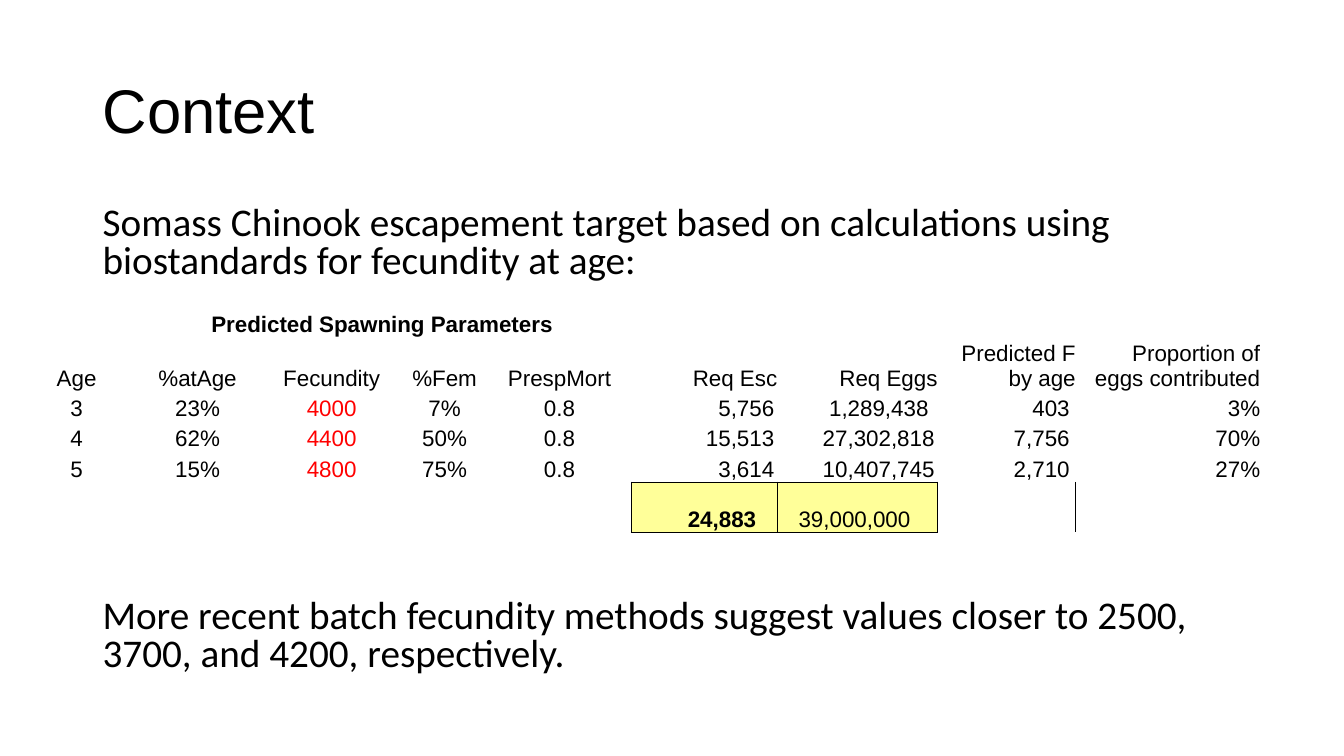
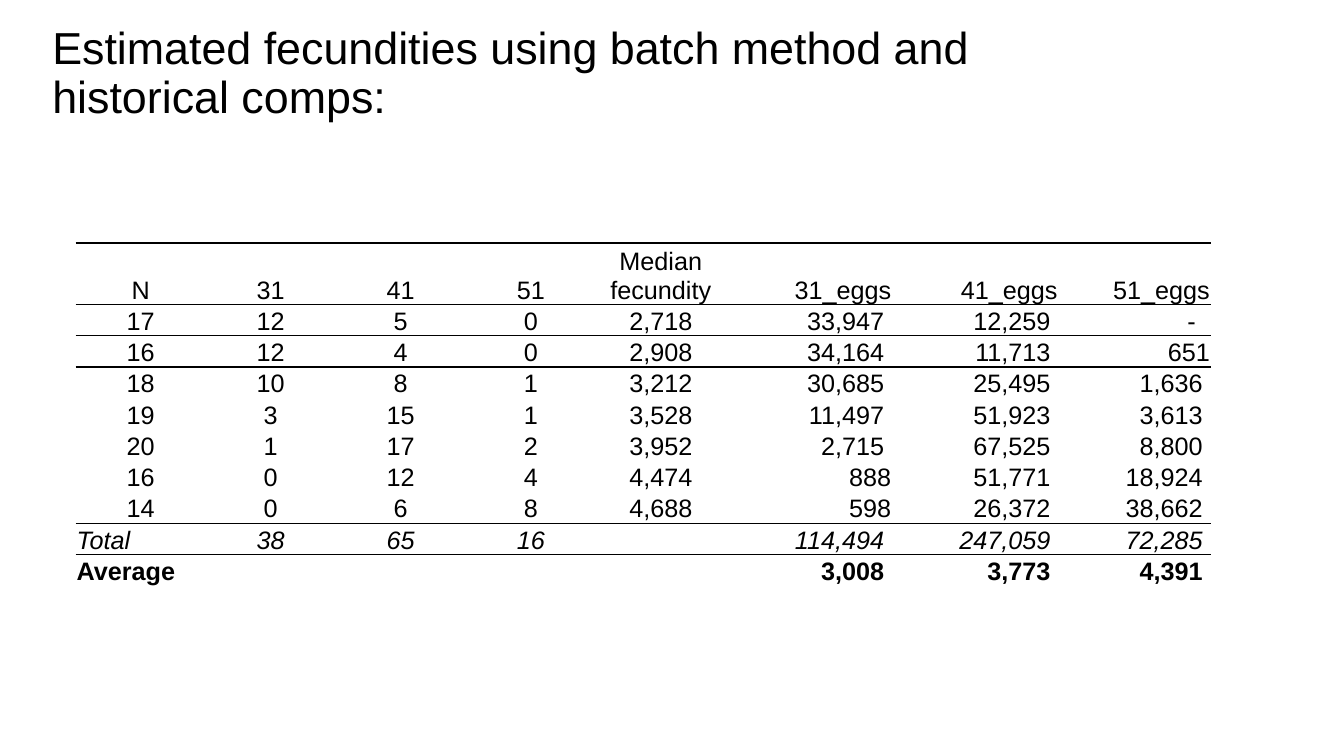
"""Build two slides on Chinook escapement targets and fecundity estimates."""
from lxml import etree
from pptx import Presentation
from pptx.dml.color import RGBColor
from pptx.enum.text import MSO_ANCHOR, PP_ALIGN
from pptx.oxml.ns import qn
from pptx.util import Inches, Pt

LEFT, CENTER, RIGHT = PP_ALIGN.LEFT, PP_ALIGN.CENTER, PP_ALIGN.RIGHT
TOP, MIDDLE, BOTTOM = MSO_ANCHOR.TOP, MSO_ANCHOR.MIDDLE, MSO_ANCHOR.BOTTOM
rgb = RGBColor.from_string
BLACK, RED, YELLOW = "000000", "FF0000", "FFFF99"
PLAIN_TABLE = "{2D5ABB26-0587-4C30-8999-92F81FD0307C}"
TITLE = {"font": "Arial", "anchor": MIDDLE, "spacing": 0.9, "before": 0}
BODY = {"font": "Calibri", "anchor": TOP, "spacing": 0.8, "before": 10}


def add_text(slide, text, box, size, style):
    frame = slide.shapes.add_textbox(*map(Inches, box)).text_frame
    frame.word_wrap = True
    frame.vertical_anchor = style["anchor"]
    paragraph = frame.paragraphs[0]
    paragraph.line_spacing = style["spacing"]
    paragraph.space_before = Pt(style["before"])
    run = paragraph.add_run()
    run.text = text
    run.font.name, run.font.size = style["font"], Pt(size)
    run.font.color.rgb = rgb(BLACK)


def add_grid(slide, corner, widths, heights, rows, size, inset, aligns, pads, borders, line_width):
    table = slide.shapes.add_table(
        len(heights), len(widths), *map(Inches, (*corner, sum(widths), sum(heights)))).table
    table.first_row = table.horz_banding = False
    table._tbl.tblPr.find(qn("a:tableStyleId")).text = PLAIN_TABLE
    for column, width in zip(table.columns, widths):
        column.width = Inches(width)
    for row, height in zip(table.rows, heights):
        row.height = Inches(height)
    for r, values in enumerate(rows):
        for c, value in enumerate(values):
            cell = table.cell(r, c)
            cell.text = value
            cell.vertical_anchor = BOTTOM
            cell.margin_left = cell.margin_top = Inches(inset)
            cell.margin_right = Inches(pads.get((r, c), inset))
            cell.margin_bottom = 0
            for paragraph in cell.text_frame.paragraphs:
                paragraph.alignment = aligns[c]
                for run in paragraph.runs:
                    run.font.name, run.font.size = "Arial", Pt(size)
                    run.font.color.rgb = rgb(BLACK)
                if not paragraph.runs:
                    etree.SubElement(paragraph._p, qn("a:endParaRPr"), sz=str(size * 100))
            properties = cell._tc.get_or_add_tcPr()
            for side in borders.get((r, c), ""):
                line = etree.SubElement(properties, qn(f"a:ln{side}"), w=str(Pt(line_width)))
                fill = etree.SubElement(line, qn("a:solidFill"))
                etree.SubElement(fill, qn("a:srgbClr"), val=BLACK)
            cell.fill.background()
    return table


deck = Presentation()
deck.slide_width, deck.slide_height = Inches(13.33), Inches(7.5)
blank = deck.slide_layouts[6]

context = deck.slides.add_slide(blank)
add_text(context, "Context", (0.92, 0.4, 11.5, 1.45), 44, TITLE)
add_text(context, "Somass Chinook escapement target based on calculations using "
         "biostandards for fecundity at age:", (0.92, 2, 11.5, 0.93), 28, BODY)

spawning_rows = [
    ["", "Predicted Spawning Parameters", "", "", "", "", "", "", ""],
    ["Age", "%atAge", "Fecundity", "%Fem", "PrespMort", "Req Esc", "Req Eggs",
     "Predicted F by age", "Proportion of\neggs contributed"],
    ["3", "23%", "4000", "7%", "0.8", "5,756", "1,289,438", "403", "3%"],
    ["4", "62%", "4400", "50%", "0.8", "15,513", "27,302,818", "7,756", "70%"],
    ["5", "15%", "4800", "75%", "0.8", "3,614", "10,407,745", "2,710", "27%"],
    ["", "", "", "", "", "24,883", "39,000,000", "", ""],
]
spawning_pads = {(r, c): pad for r in (2, 3, 4) for c, pad in ((5, 0.03), (6, 0.03), (7, 0.06))}
spawning_pads.update({(2, 6): 0.09, (5, 5): 0.21, (5, 6): 0.27})
spawning = add_grid(
    context, (0.2, 3.08), [1.12, 1.28, 1.38, 0.86, 1.42, 1.45, 1.59, 1.37, 1.83],
    [0.25, 0.5, 0.3, 0.3, 0.3, 0.5], spawning_rows, 16, 0, [CENTER] * 5 + [RIGHT] * 4,
    spawning_pads, {(4, 5): "B", (4, 6): "B", (5, 4): "R", (5, 5): "LTB", (5, 6): "RTB",
                    (5, 7): "L"}, 0.5)
spawning.cell(0, 1).merge(spawning.cell(0, 4))
for r, c in ((0, 1), (5, 5)):
    spawning.cell(r, c).text_frame.paragraphs[0].runs[0].font.bold = True
for r in (2, 3, 4):
    spawning.cell(r, 2).text_frame.paragraphs[0].runs[0].font.color.rgb = rgb(RED)
for c in (5, 6):
    total = spawning.cell(5, c)
    total.fill.solid()
    total.fill.fore_color.rgb = rgb(YELLOW)

add_text(context, "More recent batch fecundity methods suggest values closer to 2500, "
         "3700, and 4200, respectively.", (0.92, 5.9, 11.5, 0.93), 28, BODY)

estimates = deck.slides.add_slide(blank)
add_text(estimates, "Estimated fecundities using batch method and historical comps:",
         (0.42, 0, 11.08, 1.48), 32, TITLE)

batch_rows = [
    ["N", "31", "41", "51", "Median fecundity", "31_eggs", "41_eggs", "51_eggs"],
    ["17", "12", "5", "0", "2,718", "33,947", "12,259", "-"],
    ["16", "12", "4", "0", "2,908", "34,164", "11,713", "651"],
    ["18", "10", "8", "1", "3,212", "30,685", "25,495", "1,636"],
    ["19", "3", "15", "1", "3,528", "11,497", "51,923", "3,613"],
    ["20", "1", "17", "2", "3,952", "2,715", "67,525", "8,800"],
    ["16", "0", "12", "4", "4,474", "888", "51,771", "18,924"],
    ["14", "0", "6", "8", "4,688", "598", "26,372", "38,662"],
    ["Total", "38", "65", "16", "", "114,494", "247,059", "72,285"],
    ["Average", "", "", "", "", "3,008", "3,773", "4,391"],
]
batch_pads = {(r, c): 0.08 for r in range(1, 10) for c in (5, 6, 7)}
batch_pads.update({(1, 7): 0.15, (2, 7): 0.01, (6, 5): 0.01, (7, 5): 0.01})
rules = {0: "TB", 1: "TB", 2: "T", 7: "B", 8: "T"}
batch = add_grid(
    estimates, (0.75, 2.41), [1.29] * 5 + [1.65, 1.65, 1.51], [0.57] + [0.29] * 9,
    batch_rows, 18, 0.01, [CENTER] * 5 + [RIGHT] * 3, batch_pads,
    {(r, c): sides for r, sides in rules.items() for c in range(8)}, 1)
for r, emphasis in ((8, {"italic": True}), (9, {"bold": True})):
    batch.cell(r, 0).text_frame.paragraphs[0].alignment = LEFT
    for cell in batch.rows[r].cells:
        for run in cell.text_frame.paragraphs[0].runs:
            for attribute, value in emphasis.items():
                setattr(run.font, attribute, value)

deck.save("out.pptx")
